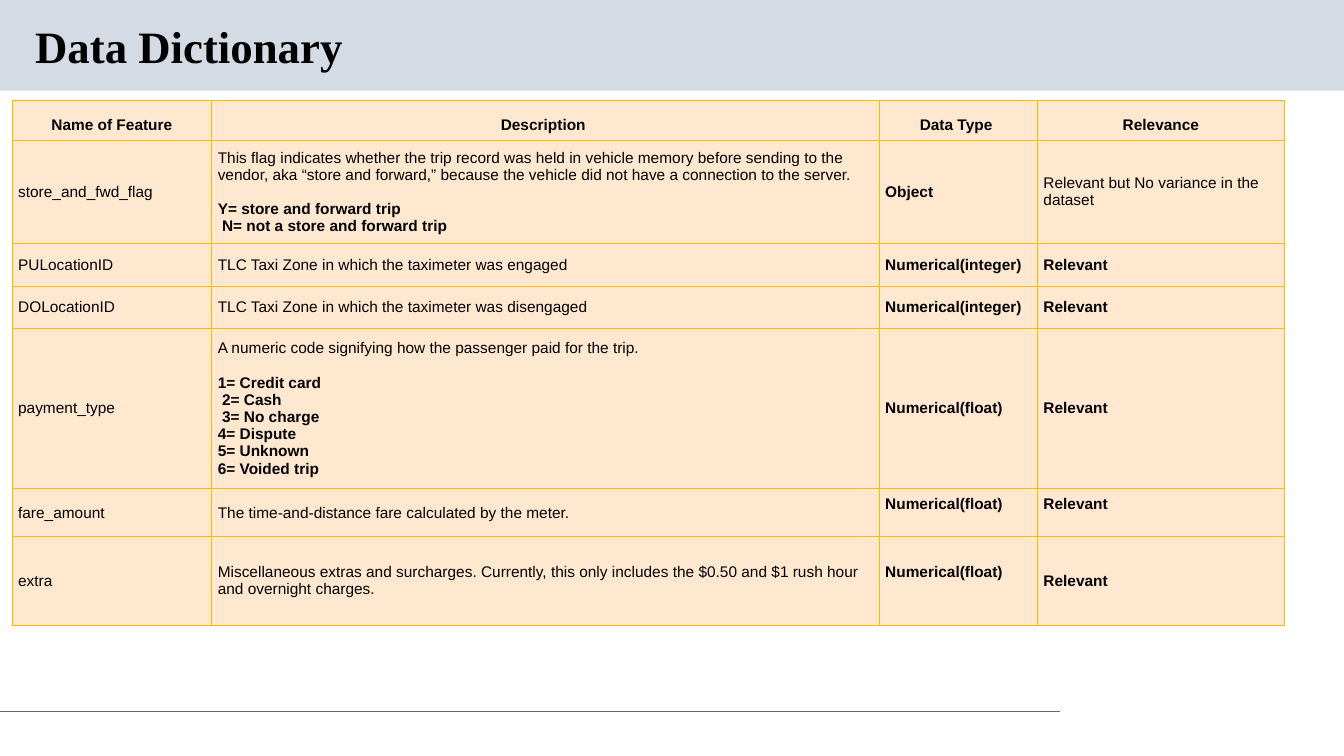
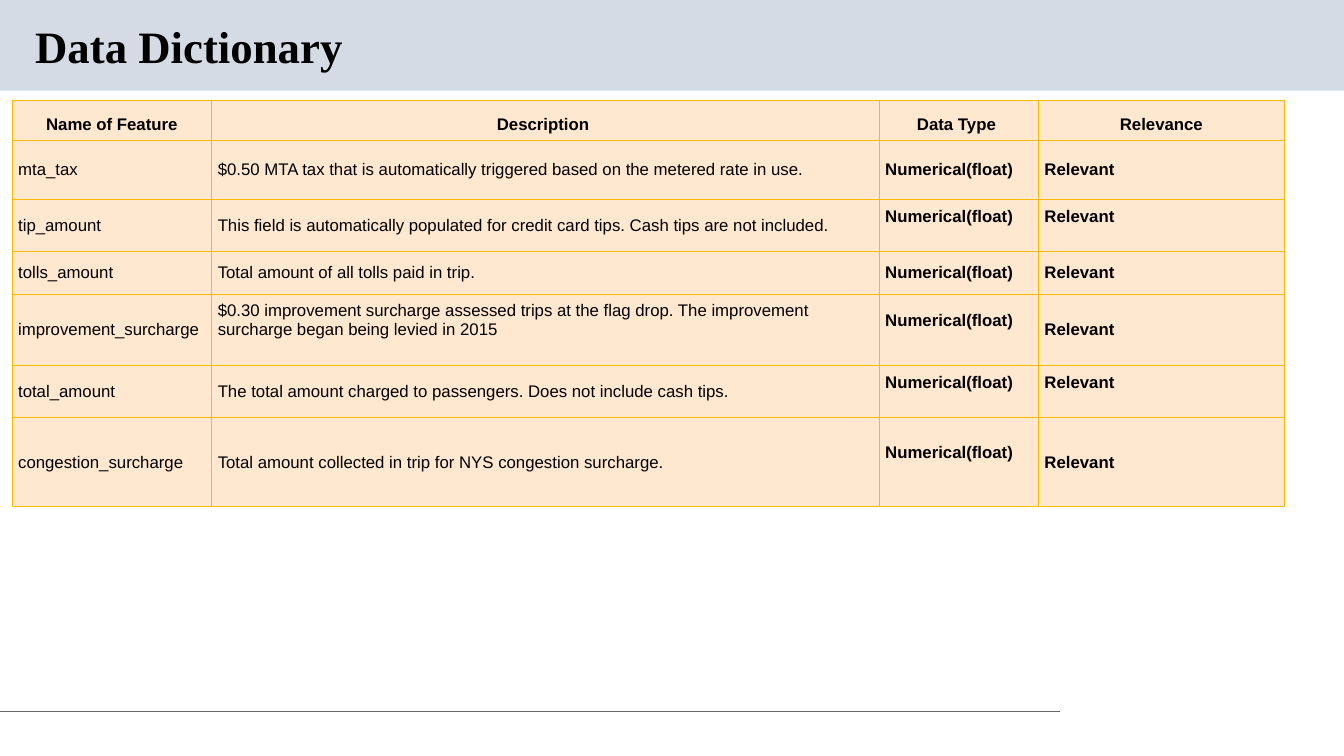
from dataclasses import dataclass

from lxml import etree
from pptx import Presentation
from pptx import util as u
from pptx.dml import color
from pptx.enum import shapes, text
from pptx.oxml import ns


@dataclass(frozen=True)
class Theme:
    band: str = "D5DBE5"
    rule: str = "666666"
    cell: str = "FFE8CF"
    border: str = "F9BC00"
    ink: str = "000000"
    title_font: str = "Times New Roman"
    body_font: str = "Arial"
    title_size: int = 32
    line_width: float = 0.75
    inset: float = 0.06


theme = Theme()
rgb = color.RGBColor.from_string
HEADER = ["Name of Feature", "Description ", "Data Type ", "Relevance"]
HEADER_HEIGHT = 0.39
TYPE_COLUMN = 2
INTEGER, FLOAT = "Numerical(integer)", "Numerical(float)"
RELEVANT = "Relevant"


def style_runs(paragraph, font_name, size, bold):
    for run in paragraph.runs:
        run.font.name = font_name
        run.font.size = u.Pt(size)
        run.font.bold = bold
        run.font.color.rgb = rgb(theme.ink)


def style_cell(cell):
    cell.margin_left = cell.margin_right = u.Inches(theme.inset)
    cell.margin_top = cell.margin_bottom = u.Inches(theme.inset)
    properties = cell._tc.get_or_add_tcPr()
    for side in ("a:lnL", "a:lnR", "a:lnT", "a:lnB"):
        line = etree.SubElement(properties, ns.qn(side), w=str(u.Pt(theme.line_width)))
        fill = etree.SubElement(line, ns.qn("a:solidFill"))
        etree.SubElement(fill, ns.qn("a:srgbClr"), val=theme.border)
    cell.fill.solid()
    cell.fill.fore_color.rgb = rgb(theme.cell)


# height, cell texts, columns whose text sits half a line above the middle
TRIP_ROWS = [
    (1.03, ["store_and_fwd_flag",
            "This flag indicates whether the trip record was held in vehicle memory before "
            "sending to the vendor, aka “store and forward,” because the vehicle did not have "
            "a connection to the server.\nY= store and forward trip\n N= not a store and forward trip",
            "Object", "Relevant but No variance in the dataset"], ()),
    (0.42, ["PULocationID", "TLC Taxi Zone in which the taximeter was engaged", INTEGER, RELEVANT], ()),
    (0.42, ["DOLocationID", "TLC Taxi Zone in which the taximeter was disengaged", INTEGER, RELEVANT], ()),
    (1.59, ["payment_type",
            "A numeric code signifying how the passenger paid for the trip.\n1= Credit card\n"
            " 2= Cash\n 3= No charge\n4= Dispute\n5= Unknown\n6= Voided trip",
            FLOAT, RELEVANT], ()),
    (0.47, ["fare_amount", "The time-and-distance fare calculated by the meter.", FLOAT, RELEVANT], (2, 3)),
    (0.88, ["extra",
            "Miscellaneous extras and surcharges. Currently, this only includes the $0.50 and "
            "$1 rush hour and overnight charges.", FLOAT, RELEVANT], (2,)),
]
CHARGE_ROWS = [
    (0.59, ["mta_tax",
            "$0.50 MTA tax that is automatically triggered based on the metered rate in use.",
            FLOAT, RELEVANT], ()),
    (0.52, ["tip_amount",
            "This field is automatically populated for credit card tips. Cash tips are not included.",
            FLOAT, RELEVANT], (2, 3)),
    (0.42, ["tolls_amount", "Total amount of all tolls paid in trip.", FLOAT, RELEVANT], ()),
    (0.70, ["improvement_surcharge",
            "$0.30 improvement surcharge assessed trips at the flag drop. The improvement "
            "surcharge began being levied in 2015", FLOAT, RELEVANT], (1, 2)),
    (0.52, ["total_amount", "The total amount charged to passengers. Does not include cash tips.",
            FLOAT, RELEVANT], (2, 3)),
    (0.88, ["congestion_surcharge", "Total amount collected in trip for NYS congestion surcharge.",
            FLOAT, RELEVANT], (2,)),
]
PAGES = [
    (11, [1.98, 6.62, 1.57, 2.45], TRIP_ROWS),
    (12, [1.98, 6.62, 1.58, 2.44], CHARGE_ROWS),
]

presentation = Presentation()
presentation.slide_width = u.Inches(13.33)
presentation.slide_height = u.Inches(7.5)

for size, widths, features in PAGES:
    slide = presentation.slides.add_slide(presentation.slide_layouts[6])

    band = slide.shapes.add_shape(
        shapes.MSO_SHAPE.RECTANGLE, 0, 0, presentation.slide_width, u.Inches(0.9))
    band.shadow.inherit = False
    band.fill.solid()
    band.fill.fore_color.rgb = rgb(theme.band)
    band.line.fill.background()

    rule = slide.shapes.add_connector(
        shapes.MSO_CONNECTOR.STRAIGHT, 0, u.Inches(7.06), u.Inches(10.51), u.Inches(7.06))
    rule.line.color.rgb = rgb(theme.rule)
    rule.line.width = u.Pt(theme.line_width)
    etree.SubElement(rule._element.spPr, ns.qn("a:effectLst"))

    title = slide.shapes.add_textbox(u.Inches(0.25), u.Inches(0.19), u.Inches(11.5), u.Inches(0.59))
    title.text_frame.word_wrap = True
    title.text_frame.vertical_anchor = text.MSO_ANCHOR.MIDDLE
    title.text_frame.text = "Data Dictionary"
    heading = title.text_frame.paragraphs[0]
    heading.line_spacing = 0.9
    style_runs(heading, theme.title_font, theme.title_size, True)

    rows = [(HEADER_HEIGHT, HEADER, ())] + features
    table = slide.shapes.add_table(
        len(rows), len(widths), u.Inches(0.12), u.Inches(1), u.Inches(sum(widths)),
        u.Inches(sum(height for height, _, _ in rows))).table
    table.horz_banding = False
    for column, width in zip(table.columns, widths):
        column.width = u.Inches(width)

    line_height = u.Pt(size * 1.12)
    for row_index, (height, entries, raised_columns) in enumerate(rows):
        table.rows[row_index].height = u.Inches(height)
        is_header = row_index == 0
        for column_index, entry in enumerate(entries):
            cell = table.cell(row_index, column_index)
            style_cell(cell)
            cell.vertical_anchor = text.MSO_ANCHOR.BOTTOM if is_header else text.MSO_ANCHOR.MIDDLE
            if column_index in raised_columns:
                cell.margin_bottom += line_height
            cell.text_frame.text = entry
            for line_index, paragraph in enumerate(cell.text_frame.paragraphs):
                paragraph.alignment = text.PP_ALIGN.CENTER if is_header else text.PP_ALIGN.LEFT
                if line_index == 1:
                    paragraph.space_before = line_height
                bold = is_header or column_index == TYPE_COLUMN or entry == RELEVANT or line_index > 0
                style_runs(paragraph, theme.body_font, size, bold)

presentation.save("out.pptx")
